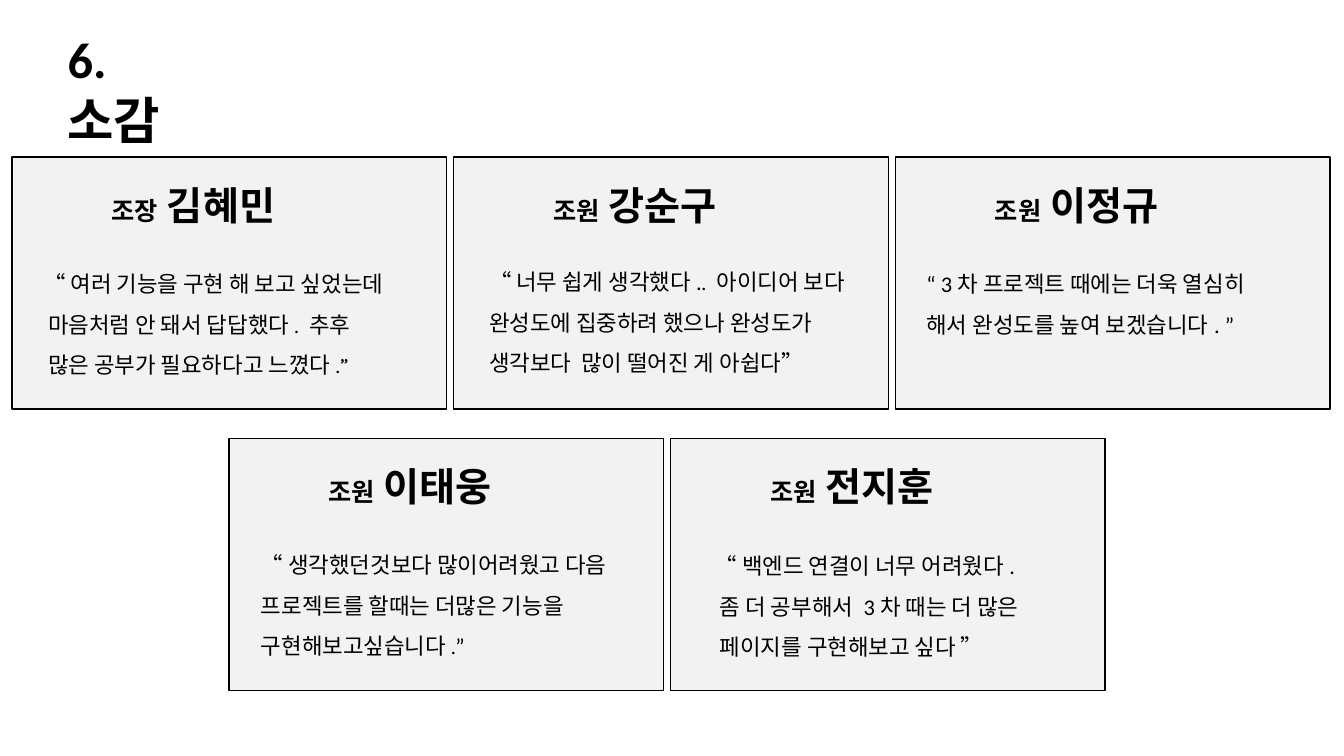
import pptx
import pptx.util
import pptx.dml.color
import pptx.enum.shapes
import pptx.enum.text

COLOURS = {"ink": "000000", "card": "F2F2F2", "page": "FFFFFF"}
MAIN, QUOTE = "Calibri", "Karla"

# Card grid, in px (100 to the inch)
CARD_WIDTH, CARD_HEIGHT, CARD_PITCH = 431, 250, 438

# Each member: role, name, quote box within the card, left inset,
# and quote paragraphs made of (text, font) spans
TOP_ROW = [
    ("조장", "김혜민", (21, 94, 397, 131), 10, [
        [("“ ", MAIN), ("여러 기능을 구현 해 보고 싶었는데", QUOTE)],
        [(" 마음처럼 안 돼서 답답했다. 추후", QUOTE)],
        [(" 많은 공부가 필요하다고 느꼈다.”", QUOTE)]]),
    ("조원", "강순구", (14, 92, 405, 131), 21, [
        [("“ 너무 쉽게 생각했다.", MAIN), (". 아이디어 보다", QUOTE)],
        [("완성도에 집중하려 했으나 완성도가", QUOTE)],
        [("생각보다  많이 떨어진 게 아쉽다", QUOTE), ("”", MAIN)]]),
    ("조원", "이정규", (21, 94, 390, 91), 10, [
        [("“ 3차 프로젝트 때에는 더욱 열심히", MAIN)],
        [("해서 완성도를 높여 보겠습니다. ”", MAIN)]]),
]
BOTTOM_ROW = [
    ("조원", "이태웅", (22, 94, 390, 127), 10, [
        [("“ ", MAIN),
         ("생각했던것보다 많이어려웠고 다음 프로젝트를 할때는 더많은 기능을", QUOTE)],
        [("구현해보고싶습니다.", QUOTE), ("”", MAIN)]]),
    ("조원", "전지훈", (22, 95, 390, 131), 22, [
        [("“ 백엔드 연결이 너무 어려웠다.", MAIN)],
        [(" 좀 더 공부해서 3차 때는 더 많은", MAIN)],
        [(" 페이지를 구현해보고 싶다 ”", MAIN)]]),
]


def px(length):
    return pptx.util.Emu(length * 9144)


def colour(name):
    return pptx.dml.color.RGBColor.from_string(COLOURS[name])


class Painter:
    """Holds the style and the current slide."""

    def __init__(self, page):
        self.page = page
        page.background.fill.solid()
        page.background.fill.fore_color.rgb = colour("page")

    def frame(self, shape, inset=10):
        frame = shape.text_frame
        frame.word_wrap = True
        frame.auto_size = pptx.enum.text.MSO_AUTO_SIZE.NONE
        frame.vertical_anchor = pptx.enum.text.MSO_ANCHOR.TOP
        frame.margin_left, frame.margin_right = px(inset), px(10)
        frame.margin_top = frame.margin_bottom = px(5)
        return frame

    def style(self, para, size, bold=False, spacing=1.0):
        para.alignment = pptx.enum.text.PP_ALIGN.LEFT
        para.line_spacing = spacing
        para.font.size = pptx.util.Pt(size)
        para.font.bold = bold
        para.font.name = MAIN
        para.font.color.rgb = colour("ink")

    def span(self, para, text, size, bold=False, font=MAIN):
        span = para.add_run()
        span.text = text
        span.font.size = pptx.util.Pt(size)
        span.font.bold = bold
        span.font.name = font
        span.font.color.rgb = colour("ink")

    def title(self, text, left, top, width, height):
        box = self.page.shapes.title
        box.left, box.top, box.width, box.height = map(px, (left, top, width, height))
        frame = self.frame(box)
        frame.margin_right = px(50)  # sets the number above the word
        frame.text = text
        self.style(frame.paragraphs[0], 36, bold=True)

    def box(self, group, left, top, width, height, outlined=False):
        box = group.shapes.add_shape(pptx.enum.shapes.MSO_SHAPE.RECTANGLE,
                                     *map(px, (left, top, width, height)))
        box.shadow.inherit = False
        box.fill.solid()
        box.fill.fore_color.rgb = colour("card")
        if outlined:
            box.line.color.rgb = colour("ink")
            box.line.width = pptx.util.Pt(1)
        else:
            box.line.fill.background()
        return box

    def heading(self, group, role, name, left, top):
        para = self.frame(self.box(group, left, top, 301, 57)).paragraphs[0]
        self.style(para, 28, bold=True)
        self.span(para, role, 18, bold=True)
        self.span(para, " " + name, 28, bold=True)

    def quote(self, group, lines, inset, *place):
        frame = self.frame(self.box(group, *place), inset)
        for index, line in enumerate(lines):
            para = frame.add_paragraph() if index else frame.paragraphs[0]
            self.style(para, 16, spacing=1.5)
            for text, font in line:
                self.span(para, text, 16, font=font)

    def card(self, left, top, role, name, place, inset, lines):
        group = self.page.shapes.add_group_shape()
        self.box(group, left, top, CARD_WIDTH, CARD_HEIGHT, outlined=True)
        self.heading(group, role, name, left + 89, top + 19)
        x, y, width, height = place
        self.quote(group, lines, inset, left + x, top + y, width, height)


def main():
    deck = pptx.Presentation()
    deck.slide_width, deck.slide_height = px(1333), px(750)
    painter = Painter(deck.slides.add_slide(deck.slide_layouts[5]))

    # Heading
    painter.title("6. 소감", 57, 23, 172, 71)

    # Member cards
    for left, top, members in ((12, 156, TOP_ROW), (227, 435, BOTTOM_ROW)):
        for column, member in enumerate(members):
            painter.card(left + column * CARD_PITCH, top, *member)

    deck.save("out.pptx")


if __name__ == "__main__":
    main()
